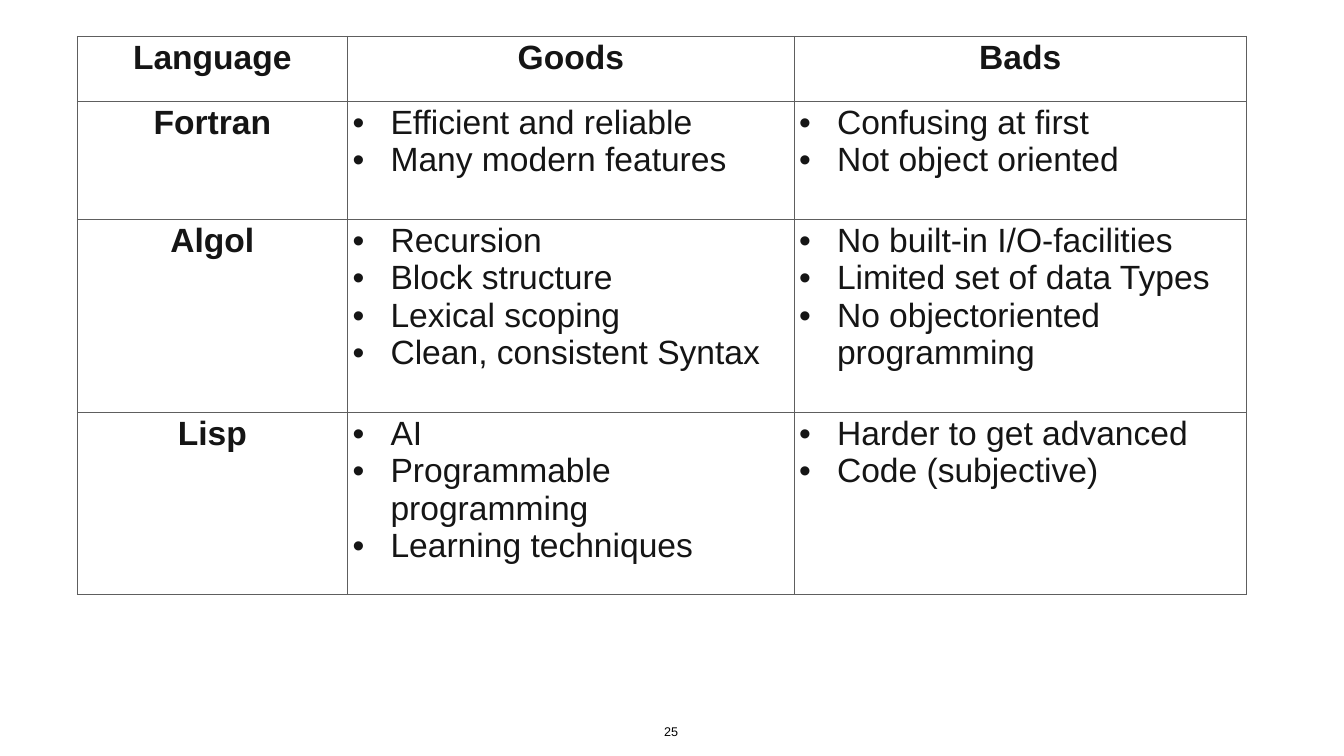
"""Build a slide with a table of the strengths and weaknesses of early languages."""
from dataclasses import dataclass

from lxml import etree
from pptx import Presentation
from pptx.dml.color import RGBColor
from pptx.enum.text import MSO_ANCHOR, MSO_AUTO_SIZE, PP_ALIGN
from pptx.oxml.ns import qn
from pptx.util import Inches, Pt

CENTER, LEFT = PP_ALIGN.CENTER, PP_ALIGN.LEFT
BOTTOM = MSO_ANCHOR.BOTTOM
GROW = MSO_AUTO_SIZE.SHAPE_TO_FIT_TEXT
COLORS = {"text": "151515", "border": "5E5E5E", "number": "000000", "background": "FFFFFF"}
FONT_NAME = "Arial"
BLANK_LAYOUT = 6
BULLET_INDENT = Inches(0.75)
COLUMN_WIDTHS = (5.37, 8.86, 8.97)


@dataclass(frozen=True)
class LanguageRow:
    """A table row: its height in inches, the language and its two lists."""
    height: float
    language: str
    goods: tuple[str, ...]
    bads: tuple[str, ...]
    is_header: bool = False


ROWS = (
    LanguageRow(1.29, "Language", ("Goods",), ("Bads",), True),
    LanguageRow(2.34, "Fortran",
                ("Efficient and reliable", "Many modern features"),
                ("Confusing at first", "Not object oriented")),
    LanguageRow(3.83, "Algol",
                ("Recursion", "Block structure", "Lexical scoping", "Clean, consistent Syntax"),
                ("No built-in I/O-facilities", "Limited set of data Types",
                 "No objectoriented programming")),
    LanguageRow(3.62, "Lisp",
                ("AI", "Programmable programming", "Learning techniques"),
                ("Harder to get advanced", "Code (subjective)")),
)


def apply_format(target, values: dict) -> None:
    """Set every attribute named in the values on the target."""
    for name, value in values.items():
        setattr(target, name, value)


def format_font(font, size: int, color: str, bold: bool = False) -> None:
    """Give a font its face, size, weight and colour."""
    apply_format(font, {"name": FONT_NAME, "size": Pt(size), "bold": bold})
    font.color.rgb = RGBColor.from_string(COLORS[color])


def add_bullet(paragraph) -> None:
    """Give a paragraph a hanging round bullet."""
    properties = paragraph._p.get_or_add_pPr()
    properties.set("marL", str(BULLET_INDENT))
    properties.set("indent", str(-BULLET_INDENT))
    etree.SubElement(properties, qn("a:buFont"), typeface=FONT_NAME)
    etree.SubElement(properties, qn("a:buChar"), char="•")


def add_borders(cell) -> None:
    """Draw a thin line on all four sides of a cell."""
    properties = cell._tc.get_or_add_tcPr()
    for position, side in enumerate(("lnL", "lnR", "lnT", "lnB")):
        line = etree.Element(qn(f"a:{side}"), w=str(Pt(1)))
        fill = etree.SubElement(line, qn("a:solidFill"))
        etree.SubElement(fill, qn("a:srgbClr"), val=COLORS["border"])
        properties.insert(position, line)


def fill_cell(cell, lines: tuple[str, ...], is_heading: bool) -> None:
    """Write a bold centred heading or a bulleted list into a cell."""
    cell.fill.background()
    add_borders(cell)
    frame = cell.text_frame
    frame.text = "\n".join(lines)
    for paragraph in frame.paragraphs:
        paragraph.alignment = CENTER if is_heading else LEFT
        format_font(paragraph.runs[0].font, 48, "text", is_heading)
        if not is_heading:
            add_bullet(paragraph)


def add_language_table(slide) -> None:
    """Add the table of languages."""
    frame = slide.shapes.add_table(
        len(ROWS), len(COLUMN_WIDTHS), Inches(1.53), Inches(0.72),
        Inches(sum(COLUMN_WIDTHS)), Inches(sum(row.height for row in ROWS)))
    table = frame.table
    apply_format(table, {"first_row": False, "horz_banding": False})
    for column, width in zip(table.columns, COLUMN_WIDTHS):
        column.width = Inches(width)
    for table_row, row in zip(table.rows, ROWS):
        table_row.height = Inches(row.height)
        contents = ((row.language,), row.goods, row.bads)
        for index, (cell, lines) in enumerate(zip(table_row.cells, contents)):
            fill_cell(cell, lines, row.is_header or index == 0)


def add_slide_number(slide, number: str) -> None:
    """Add the slide number at the bottom centre."""
    box = slide.shapes.add_textbox(Inches(13.12), Inches(14.31), Inches(0.4), Inches(0.41))
    frame = box.text_frame
    margins = dict.fromkeys(
        ("margin_left", "margin_top", "margin_right", "margin_bottom"), Inches(0.06))
    apply_format(frame, {"word_wrap": False, "auto_size": GROW,
                         "vertical_anchor": BOTTOM, **margins})
    frame.text = number
    paragraph = frame.paragraphs[0]
    paragraph.alignment = CENTER
    format_font(paragraph.runs[0].font, 18, "number")


def main() -> None:
    """Create and save the presentation."""
    presentation = Presentation()
    apply_format(presentation, {"slide_width": Inches(26.67), "slide_height": Inches(15)})
    slide = presentation.slides.add_slide(presentation.slide_layouts[BLANK_LAYOUT])
    background = slide.background.fill
    background.solid()
    background.fore_color.rgb = RGBColor.from_string(COLORS["background"])
    add_slide_number(slide, "25")
    add_language_table(slide)
    presentation.save("out.pptx")


main()
